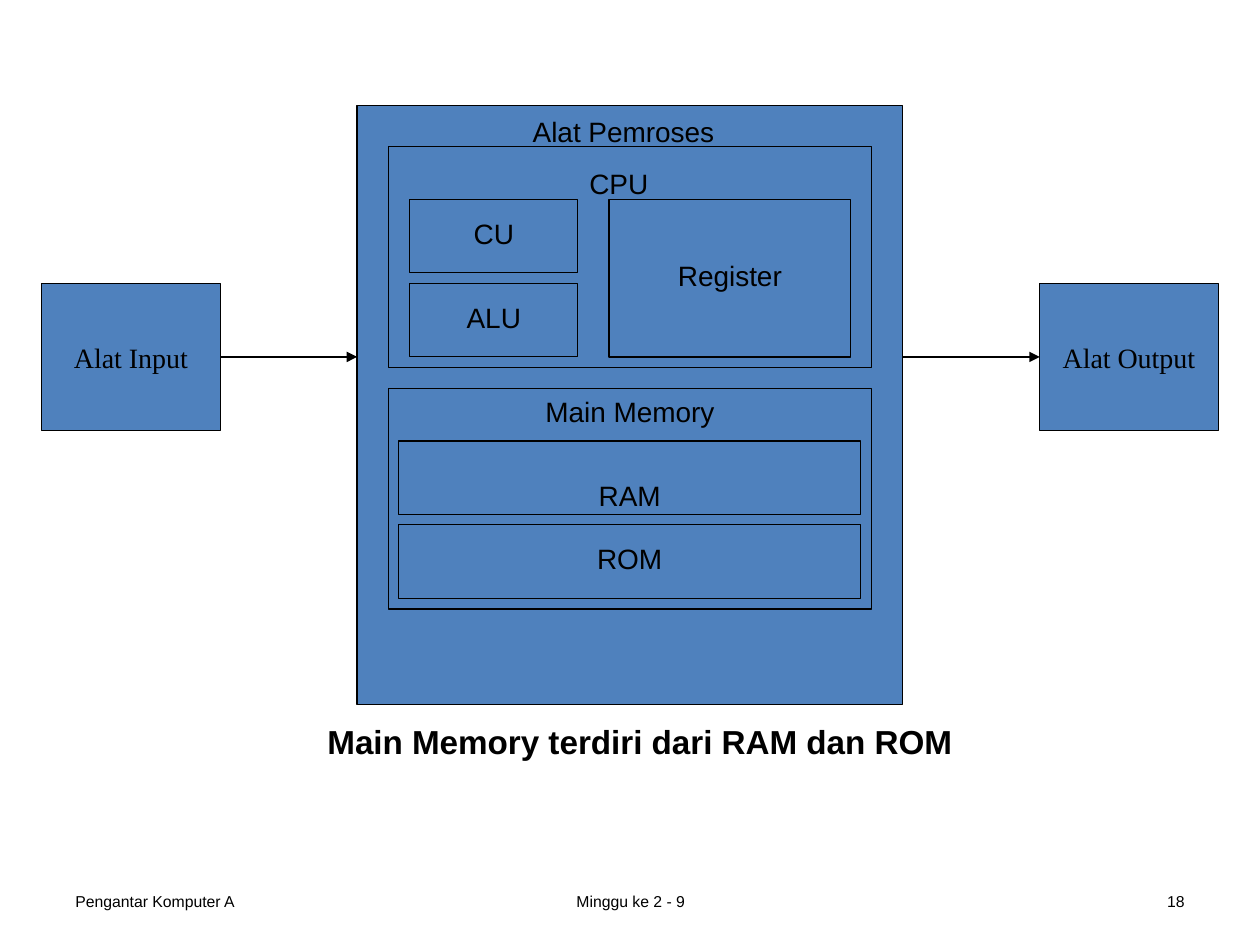
from lxml import etree
from pptx import Presentation
from pptx.dml.color import RGBColor
from pptx.enum.shapes import MSO_CONNECTOR, MSO_SHAPE
from pptx.enum.text import MSO_ANCHOR, MSO_AUTO_SIZE, PP_ALIGN
from pptx.oxml.ns import qn
from pptx.util import Cm, Pt

RECT, STRAIGHT = MSO_SHAPE.RECTANGLE, MSO_CONNECTOR.STRAIGHT
TOP, MIDDLE = MSO_ANCHOR.TOP, MSO_ANCHOR.MIDDLE
LEFT, CENTER, RIGHT = PP_ALIGN.LEFT, PP_ALIGN.CENTER, PP_ALIGN.RIGHT
NO_FIT = MSO_AUTO_SIZE.NONE

COLORS = {"ink": "000000", "box": "4F81BD"}
SANS, SERIF = "Arial", "Times New Roman"
LINE_WIDTH = Pt(0.75)


class Diagram:
    """Holds the style and the current slide."""

    def __init__(self, slide):
        self.slide = slide

    def color(self, name):
        return RGBColor.from_string(COLORS[name])

    def set_text(self, sp, text, size=16, font=SANS, bold=False, align=LEFT,
                 anchor=TOP, wrap=False, shift=0):
        """Put one line of text in a shape; shift moves it down, in cm."""
        tf = sp.text_frame
        tf.auto_size = NO_FIT
        tf.word_wrap = wrap
        tf.vertical_anchor = anchor
        tf.margin_left = tf.margin_right = Cm(0.25)
        tf.margin_top = Cm(0.13 + max(2 * shift, 0))
        tf.margin_bottom = Cm(0.13 + max(-2 * shift, 0))
        p = tf.paragraphs[0]
        p.alignment = align
        r = p.add_run()
        r.text = text
        r.font.size, r.font.name, r.font.bold = Pt(size), font, bold
        r.font.color.rgb = self.color("ink")

    def box(self, x, y, w, h, text=None, anchor=MIDDLE, **style):
        sp = self.slide.shapes.add_shape(RECT, Cm(x), Cm(y), Cm(w), Cm(h))
        sp.shadow.inherit = False
        sp.fill.solid()
        sp.fill.fore_color.rgb = self.color("box")
        sp.line.color.rgb = self.color("ink")
        sp.line.width = LINE_WIDTH
        if text:
            self.set_text(sp, text, align=CENTER, anchor=anchor, **style)
        return sp

    def label(self, x, y, w, h, text, **style):
        sp = self.slide.shapes.add_textbox(Cm(x), Cm(y), Cm(w), Cm(h))
        self.set_text(sp, text, **style)

    def title(self, x, y, w, h, text, **style):
        sp = self.slide.shapes.title
        sp.left, sp.top, sp.width, sp.height = Cm(x), Cm(y), Cm(w), Cm(h)
        self.set_text(sp, text, **style)

    def arrow(self, x1, x2, y):
        cx = self.slide.shapes.add_connector(STRAIGHT, x1, y, x2, y)
        cx.line.color.rgb = self.color("ink")
        cx.line.width = LINE_WIDTH
        sp_pr = cx._element.spPr
        etree.SubElement(sp_pr.find(qn("a:ln")), qn("a:tailEnd"), type="triangle")
        etree.SubElement(sp_pr, qn("a:effectLst"))
        return cx


def main():
    prs = Presentation()
    prs.slide_width, prs.slide_height = Cm(25.4), Cm(19.05)
    d = Diagram(prs.slides.add_slide(prs.slide_layouts[5]))

    # Footer
    for x, w, text, align in ((1.27, 5.92, "Pengantar Komputer A", LEFT),
                              (8.69, 8.05, "Minggu ke 2 - 9", CENTER),
                              (18.21, 5.92, "18", RIGHT)):
        d.label(x, 17.65, w, 1.02, text, size=9, align=align, anchor=MIDDLE, wrap=True)

    # Processor between the input and output devices
    processor = d.box(7.2, 2.13, 11, 12.07)
    source, sink = [d.box(x, 5.71, 3.6, 2.97, text, font=SERIF)
                    for x, text in ((0.84, "Alat Input"), (20.96, "Alat Output"))]

    # CPU and main memory
    d.box(7.83, 2.96, 9.74, 4.45)
    d.box(7.83, 7.83, 9.74, 4.45, "Main Memory", anchor=TOP)

    # Parts of the CPU and of the memory
    for x, y, w, h, text, shift in ((8.26, 4.02, 3.39, 1.48, "CU", -0.06),
                                    (8.26, 5.71, 3.39, 1.48, "ALU", -0.06),
                                    (12.28, 4.02, 4.87, 3.18, "Register", -0.06),
                                    (8.04, 8.89, 9.31, 1.48, "RAM", 0.35),
                                    (8.04, 10.58, 9.31, 1.48, "ROM", -0.06)):
        d.box(x, y, w, h, text, shift=shift)

    # Data flow
    mid = source.top + source.height // 2
    d.arrow(source.left + source.width, processor.left, mid).begin_connect(source, 3)
    d.arrow(processor.left + processor.width, sink.left, mid).end_connect(sink, 1)

    # Headings and conclusion
    d.label(11.63, 3.23, 2.11, 0.94, "CPU")
    d.label(10.49, 2.18, 4.22, 0.94, "Alat Pemroses")
    d.title(6.35, 14.4, 13.28, 1.07, "Main Memory terdiri dari RAM dan ROM",
            size=19, bold=True)

    prs.save("out.pptx")


if __name__ == "__main__":
    main()
